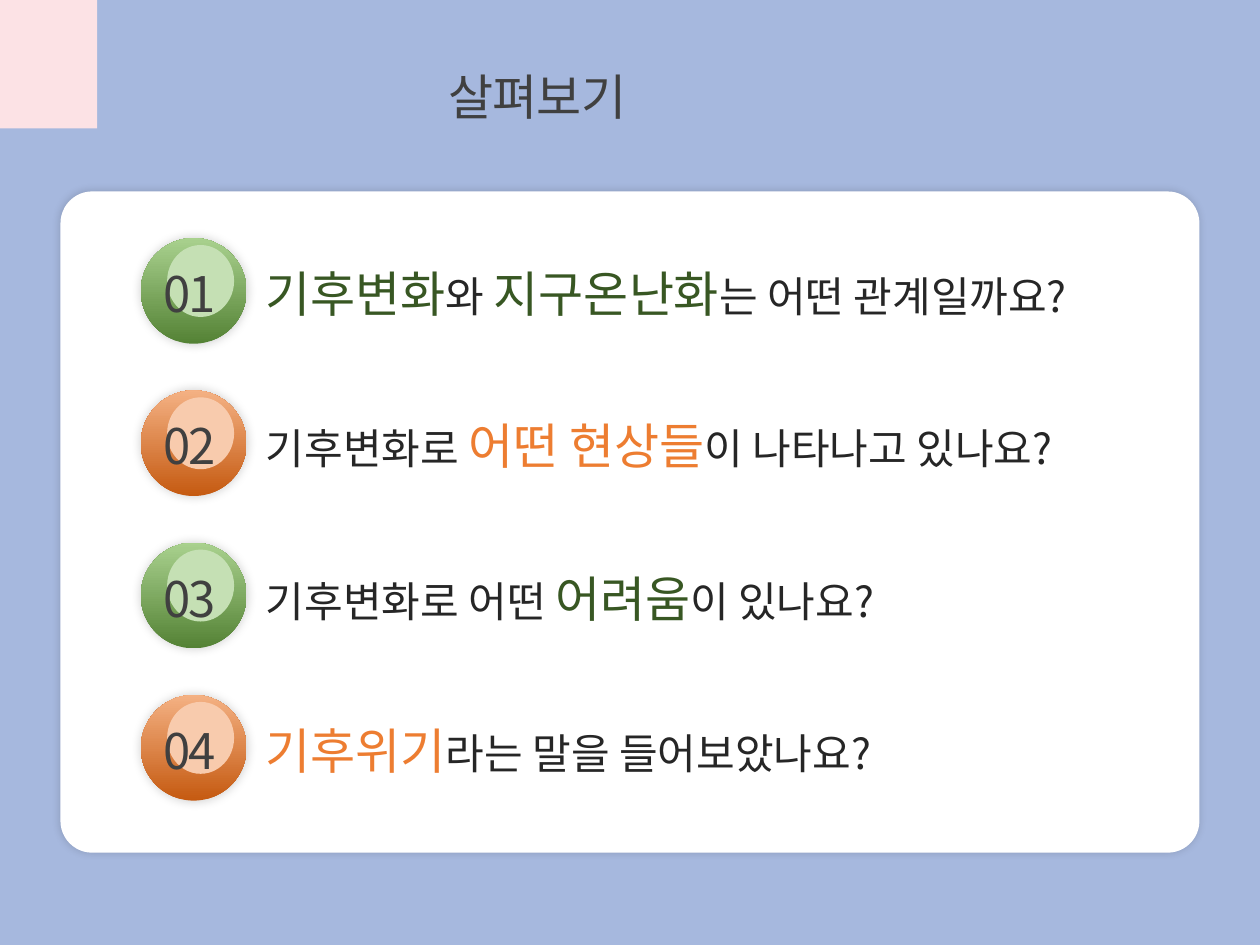
from lxml.etree import SubElement
from pptx import Presentation
from pptx.dml.color import RGBColor
from pptx.enum.shapes import MSO_SHAPE as Shape
from pptx.enum.text import MSO_ANCHOR as Anchor, MSO_AUTO_SIZE as AutoSize, PP_ALIGN as Align
from pptx.oxml.ns import qn
from pptx.util import Cm, Pt

FONT = "Noto Sans CJK KR"
BACKGROUND, CORNER, WHITE, GREY, INK = "A6B8DE", "FCE2E5", "FFFFFF", "404040", "262626"
GREEN = {"accent": "385723", "ball": ("548235", "A9D18E"), "shine": "C5E0B4"}
ORANGE = {"accent": "ED7D31", "ball": ("C55A11", "F4B183"), "shine": "F8CBAD"}

TITLE = "살펴보기"
QUESTIONS = [
    (GREEN, [("기후변화", True), ("와 ", False), ("지구온난화", True),
             ("는 어떤 관계일까요?", False)]),
    (ORANGE, [("기후변화로 ", False), ("어떤 현상들", True), ("이 나타나고 있나요?", False)]),
    (GREEN, [("기후변화로 어떤 ", False), ("어려움", True), ("이 있나요?", False)]),
    (ORANGE, [("기후위기", True), ("라는 말을 들어보았나요?", False)]),
]

FIRST_TOP, PITCH = 4.8, 3.07
BALL_LEFT, BALL_SIZE = 2.84, 2.13
TEXT_DROP, LINE_HEIGHT = 0.39, 1.45


def color(hex_string):
    return RGBColor.from_string(hex_string)


def add_figure(slide, kind, box, fill):
    figure = slide.shapes.add_shape(kind, *map(Cm, box))
    figure.shadow.inherit = False
    figure.line.fill.background()
    if isinstance(fill, tuple):
        figure.fill.gradient()
        figure.fill.gradient_angle = 90
        for stop, shade in zip(figure.fill.gradient_stops, fill):
            stop.color.rgb = color(shade)
    else:
        figure.fill.solid()
        figure.fill.fore_color.rgb = color(fill)
    return figure


def add_glow(figure, blur, opacity, direction=0):
    effects = figure._element.spPr.find(qn("a:effectLst"))
    shadow = SubElement(effects, qn("a:outerShdw"), blurRad=str(Pt(blur)), dist="0",
                        dir=str(direction * 60000), algn="ctr", rotWithShape="0")
    black = SubElement(shadow, qn("a:srgbClr"), val="000000")
    SubElement(black, qn("a:alpha"), val=str(opacity * 1000))


def write(frame, runs, spacing=0):
    frame.word_wrap = True
    frame.auto_size = AutoSize.SHAPE_TO_FIT_TEXT
    frame.vertical_anchor = Anchor.TOP
    line = frame.paragraphs[0]
    line.alignment = Align.LEFT
    for words, size, shade in runs:
        run = line.add_run()
        run.text = words
        run.font.size = Pt(size)
        run.font.name = FONT
        run.font.color.rgb = color(shade)
        properties = run.font._element
        SubElement(properties, qn("a:ea"), typeface=FONT)
        if spacing:
            properties.set("spc", str(int(spacing * 100)))


def add_text(slide, left, top, width, runs, spacing=0):
    box = slide.shapes.add_textbox(Cm(left), Cm(top), Cm(width), Cm(LINE_HEIGHT))
    write(box.text_frame, runs, spacing)


def add_question(slide, index, theme, parts):
    top = FIRST_TOP + index * PITCH
    ball = add_figure(slide, Shape.OVAL, (BALL_LEFT, top, BALL_SIZE, BALL_SIZE), theme["ball"])
    add_glow(ball, 6, 20, 315)
    add_figure(slide, Shape.OVAL, (BALL_LEFT + 0.53, top + 0.14, 1.35, 1.45), theme["shine"])
    add_text(slide, 3.05, top + TEXT_DROP, 1.78, [(f"{index + 1:02}", 28, GREY)], -1.5)
    runs = [(words, 28, theme["accent"]) if strong else (words, 24, INK)
            for words, strong in parts]
    add_text(slide, 5.11, top + TEXT_DROP, 16.71, runs)


def main():
    deck = Presentation()
    deck.slide_width, deck.slide_height = Cm(25.4), Cm(19.05)
    slide = deck.slides.add_slide(deck.slide_layouts[5])
    slide.background.fill.solid()
    slide.background.fill.fore_color.rgb = color(BACKGROUND)

    title = slide.shapes.title
    title.left, title.top, title.width, title.height = map(Cm, (8.79, 1.22, 12.47, LINE_HEIGHT))
    write(title.text_frame, [(TITLE, 28, GREY)], -0.5)

    add_figure(slide, Shape.RECTANGLE, (0, 0, 1.96, 2.59), CORNER)
    panel = add_figure(slide, Shape.ROUNDED_RECTANGLE, (1.22, 3.86, 22.96, 13.33), WHITE)
    panel.adjustments[0] = 0.048
    add_glow(panel, 5, 15)

    for index, (theme, parts) in enumerate(QUESTIONS):
        add_question(slide, index, theme, parts)
    deck.save("out.pptx")


if __name__ == "__main__":
    main()
